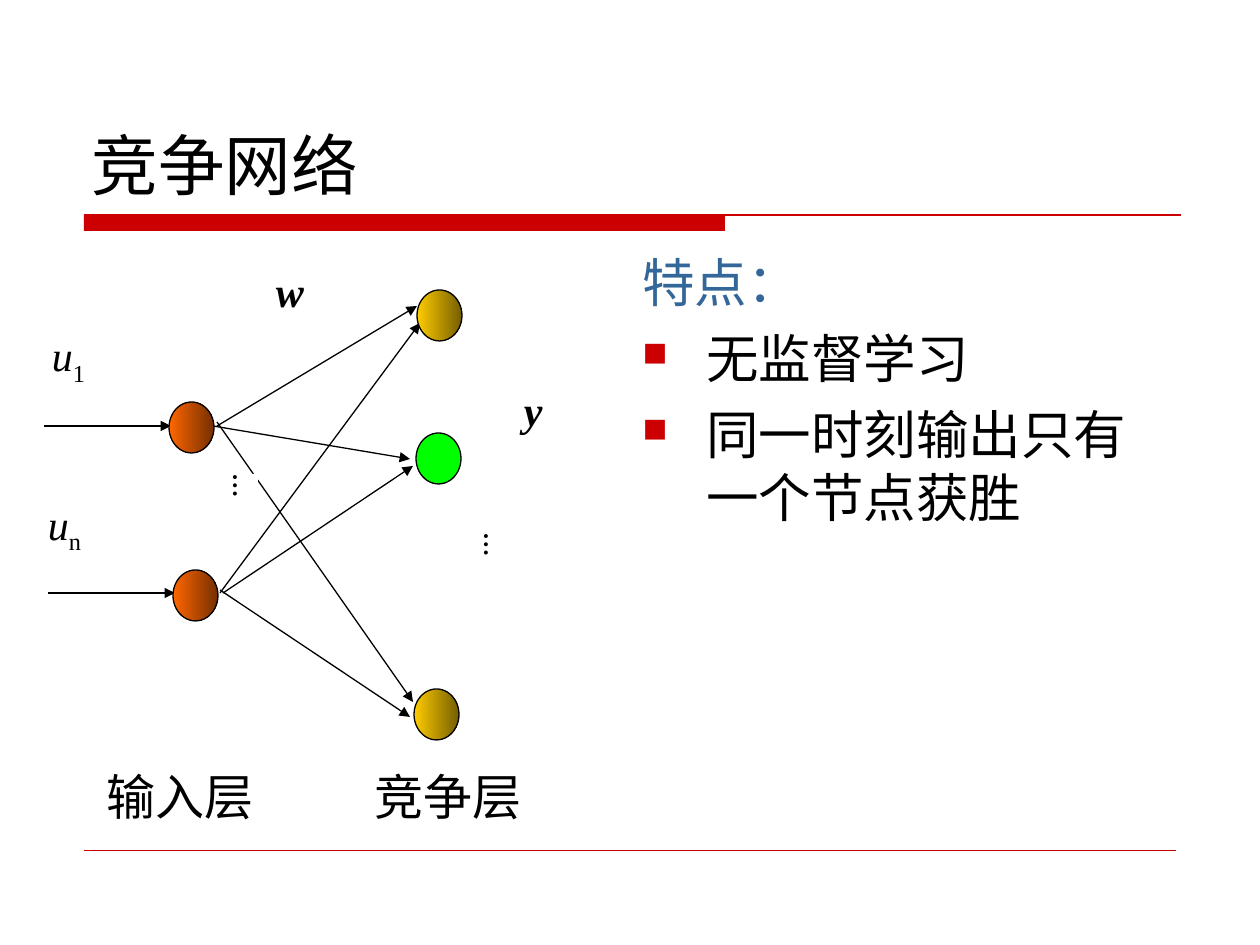
"""Build a slide that explains a competitive network with a diagram and a list."""
from dataclasses import dataclass

from lxml.etree import SubElement
from pptx import Presentation
from pptx.dml.color import RGBColor
from pptx.enum.shapes import MSO_CONNECTOR, MSO_SHAPE
from pptx.enum.text import MSO_ANCHOR, MSO_AUTO_SIZE, PP_ALIGN
from pptx.oxml.ns import qn
from pptx.util import Emu, Pt


@dataclass(frozen=True)
class Theme:
    black: str = "000000"
    white: str = "FFFFFF"
    red: str = "CC0000"
    blue: str = "336699"
    green: str = "00FF00"
    gold: tuple = ("FFCC00", "755E00")
    orange: tuple = ("FF6600", "752F00")
    sans: str = "DejaVu Sans"
    serif: str = "Times New Roman"
    title: int = 38
    body: int = 30
    layer: int = 28
    symbol: int = 24
    dots: int = 14


T = Theme()
PX = 914400 / 126


def write(p, text, size, color=T.black, font=T.sans, bold=False, italic=False,
          base=0, before=0, align=PP_ALIGN.LEFT):
    p.alignment = align
    p.space_before = Pt(before)
    r = p.add_run()
    r.text = text
    f = r.font
    f.size, f.name, f.bold, f.italic = Pt(size), font, bold, italic
    f.color.rgb = RGBColor.from_string(color)
    if base:
        r._r.get_or_add_rPr().set("baseline", str(base * 1000))


def link(x1, y1, x2, y2, color=T.black, width=0.75, arrow=True):
    cn = s.shapes.add_connector(MSO_CONNECTOR.STRAIGHT, *[Emu(round(v * PX)) for v in (x1, y1, x2, y2)])
    cn.line.color.rgb = RGBColor.from_string(color)
    cn.line.width = Pt(width)
    spPr = cn.element.spPr
    if arrow:
        SubElement(spPr.find(qn("a:ln")), qn("a:tailEnd"), type="triangle")
    SubElement(spPr, qn("a:effectLst"))


prs = Presentation()
prs.slide_width, prs.slide_height = Emu(round(1260 * PX)), Emu(round(945 * PX))
s = prs.slides.add_slide(prs.slide_layouts[5])

title = s.shapes.title
title.left, title.top, title.width, title.height = [Emu(round(v * PX)) for v in (79, 42, 1103, 168)]
tf = title.text_frame
tf.auto_size = MSO_AUTO_SIZE.NONE
tf.vertical_anchor = MSO_ANCHOR.BOTTOM
write(tf.paragraphs[0], "竞争网络", T.title)

bar = s.shapes.add_shape(MSO_SHAPE.RECTANGLE, *[Emu(round(v * PX)) for v in (84, 215, 641, 16)])
bar.shadow.inherit = False
bar.fill.solid()
bar.fill.fore_color.rgb = RGBColor.from_string(T.red)
bar.line.fill.background()
link(84, 215, 1181, 215, T.red, arrow=False)
link(84, 850, 1176, 850, T.red, 0.25, arrow=False)

for ends in [(220, 590, 410, 717), (217, 422, 413, 702)]:
    link(*ends)

bold_italic = dict(size=T.symbol, bold=True, italic=True)
dots = dict(size=T.dots, bold=True)
italic = dict(size=T.symbol, italic=True)
labels = [
    ((524, 384, 165, 81), "y", "", bold_italic),
    ((169, 474, 89, 103), "…", "", dots),
    ((276, 265, 87, 79), "w", "", bold_italic),
    ((48, 498, 63, 79), "u", "n", italic),
    ((420, 533, 89, 103), "…", "", dots),
    ((52, 330, 63, 79), "u", "1", italic),
]
for box, text, sub, fmt in labels:
    sp = s.shapes.add_shape(MSO_SHAPE.RECTANGLE, *[Emu(round(v * PX)) for v in box])
    sp.shadow.inherit = False
    sp.fill.solid()
    sp.fill.fore_color.rgb = RGBColor.from_string(T.white)
    sp.line.fill.background()
    tf = sp.text_frame
    tf.margin_left = tf.margin_top = tf.margin_right = tf.margin_bottom = 0
    tf.vertical_anchor = MSO_ANCHOR.TOP
    p = tf.paragraphs[0]
    write(p, text, font=T.serif, align=PP_ALIGN.JUSTIFY, **fmt)
    if sub:
        write(p, sub, T.symbol, font=T.serif, base=-25, align=PP_ALIGN.JUSTIFY)
    if text == "…":
        sp.element.txBody.bodyPr.set("vert", "eaVert")

for ends in [(220, 593, 420, 323), (217, 426, 417, 306), (48, 593, 175, 593),
             (44, 426, 171, 426), (213, 426, 410, 459), (223, 593, 413, 466)]:
    link(*ends)

nodes = [(416, 433, T.green), (417, 290, T.gold), (173, 570, T.orange),
         (169, 402, T.orange), (414, 689, T.gold)]
for x, y, color in nodes:
    sp = s.shapes.add_shape(MSO_SHAPE.OVAL, *[Emu(round(v * PX)) for v in (x, y, 45, 51)])
    sp.shadow.inherit = False
    if color == T.green:
        sp.fill.solid()
        sp.fill.fore_color.rgb = RGBColor.from_string(color)
    else:
        sp.fill.gradient()
        sp.fill.gradient_angle = 0
        for stop, shade, position in zip(sp.fill.gradient_stops, color, (0, 1)):
            stop.color.rgb = RGBColor.from_string(shade)
            stop.position = position
    sp.line.color.rgb = RGBColor.from_string(T.black)
    sp.line.width = Pt(0.75)

features = s.shapes.add_textbox(*[Emu(round(v * PX)) for v in (630, 244, 536, 576)])
tf = features.text_frame
tf.word_wrap = True
for i, text in enumerate(["特点：", "无监督学习", "同一时刻输出只有一个节点获胜"]):
    p = tf.add_paragraph() if i else tf.paragraphs[0]
    write(p, text, T.body, T.black if i else T.blue, before=7.5)
    pPr = p._p.get_or_add_pPr()
    indent = round(64 * PX)
    pPr.set("marL", str(indent))
    pPr.set("indent", str(-indent))
    if i:
        SubElement(SubElement(pPr, qn("a:buClr")), qn("a:srgbClr"), val=T.red)
        SubElement(pPr, qn("a:buSzPct"), val="65000")
        SubElement(pPr, qn("a:buChar"), char="■")

for x, text in [(94, "输入层"), (362, "竞争层")]:
    layer = s.shapes.add_textbox(*[Emu(round(v * PX)) for v in (x, 760, 199, 72)])
    tf = layer.text_frame
    tf.word_wrap = True
    tf.auto_size = MSO_AUTO_SIZE.SHAPE_TO_FIT_TEXT
    write(tf.paragraphs[0], text, T.layer, before=17.5)

prs.save("out.pptx")
